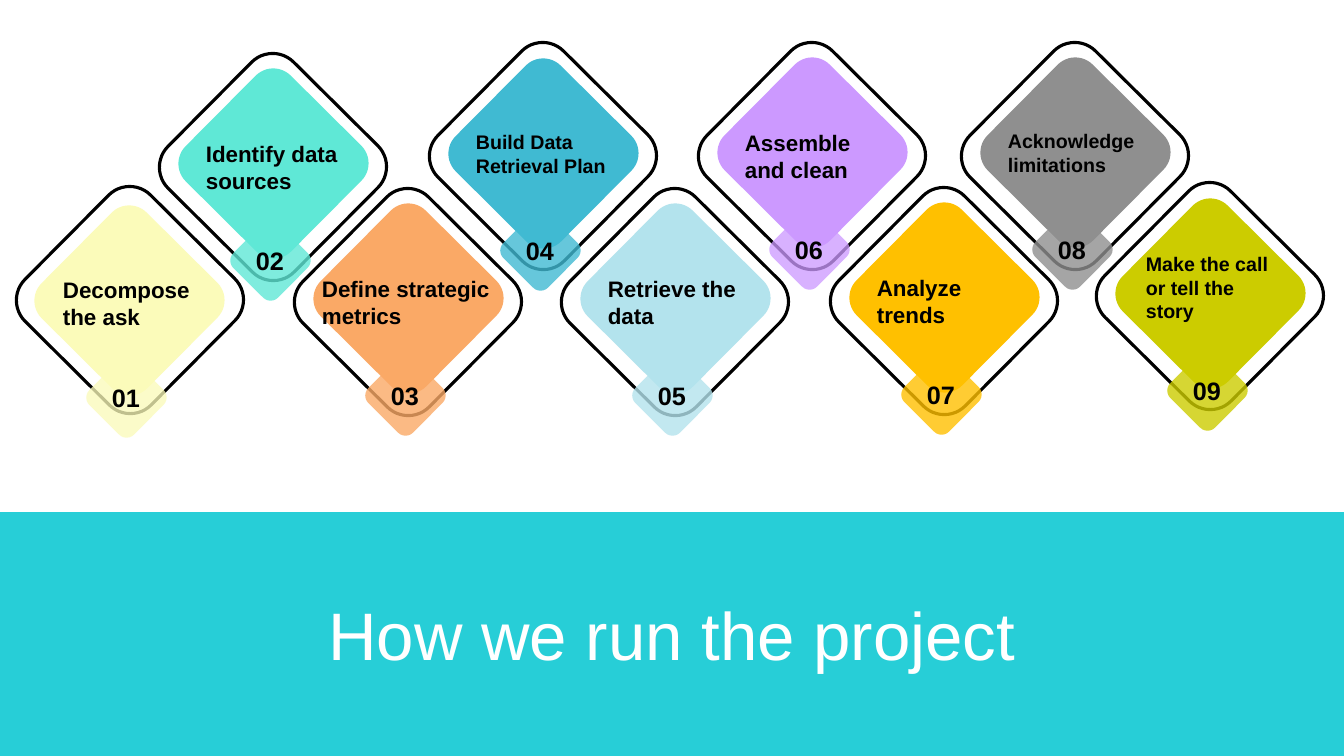
import pptx
import pptx.dml.color
import pptx.enum.shapes
import pptx.enum.text
import pptx.oxml
import pptx.oxml.ns
import pptx.util
from dataclasses import dataclass

PIXELS_PER_INCH = 100.8
ALIGN = pptx.enum.text.PP_ALIGN
ANCHOR = pptx.enum.text.MSO_ANCHOR
AUTO_SIZE = pptx.enum.text.MSO_AUTO_SIZE


def px(length):
    return pptx.util.Emu(round(length * 914400 / PIXELS_PER_INCH))


def colour(value):
    return pptx.dml.color.RGBColor.from_string(value)


@dataclass
class Step:
    label: str
    left: int
    top: int
    fill: str
    size: int = 16
    opacity: int = 80
    ring_shift: tuple = (-15, -11)
    label_shift: tuple = (-3, 46)
    label_width: int = 155
    label_height: int = 65


class SlideBuilder:
    font = "Arial"
    ink = "000000"
    paper = "FFFFFF"
    accent = "27CED7"
    rotation = 314.8

    def __init__(self, slide):
        self.slide = slide

    def add_span(self, frame, text, size, text_colour, bold, align):
        para = frame.paragraphs[0]
        para.alignment = align
        span = para.add_run()
        span.text = text
        span.font.name = self.font
        span.font.size = pptx.util.Pt(size)
        span.font.bold = bold
        span.font.color.rgb = colour(text_colour)

    def title_band(self, text, left, top, width, height):
        title = self.slide.shapes.title
        title.left, title.top = px(left), px(top)
        title.width, title.height = px(width), px(height)
        title.fill.solid()
        title.fill.fore_color.rgb = colour(self.accent)
        frame = title.text_frame
        frame.word_wrap = True
        frame.auto_size = AUTO_SIZE.NONE
        frame.vertical_anchor = ANCHOR.MIDDLE
        self.add_span(frame, text, 48, self.paper, False, ALIGN.CENTER)

    def diamond(self, left, top, side):
        kind = pptx.enum.shapes.MSO_SHAPE.ROUNDED_RECTANGLE
        shape = self.slide.shapes.add_shape(
            kind, px(left), px(top), px(side), px(side))
        shape.rotation = self.rotation
        shape.shadow.inherit = False
        return shape

    def ring(self, left, top, side):
        shape = self.diamond(left, top, side)
        shape.fill.background()
        shape.line.color.rgb = colour(self.ink)
        shape.line.width = pptx.util.Pt(2.25)

    def tile(self, left, top, side, fill, opacity=100):
        shape = self.diamond(left, top, side)
        shape.line.fill.background()
        shape.fill.solid()
        shape.fill.fore_color.rgb = colour(fill)
        if opacity < 100:
            tint = shape.element.find(".//" + pptx.oxml.ns.qn("a:srgbClr"))
            alpha = pptx.oxml.parse_xml(
                f'<a:alpha {pptx.oxml.ns.nsdecls("a")} val="{opacity * 1000}"/>')
            tint.append(alpha)

    def text(self, text, left, top, width, height, size, align=ALIGN.LEFT):
        box = self.slide.shapes.add_textbox(
            px(left), px(top), px(width), px(height))
        frame = box.text_frame
        frame.word_wrap = True
        frame.auto_size = AUTO_SIZE.SHAPE_TO_FIT_TEXT
        self.add_span(frame, text, size, self.ink, True, align)

    def step(self, number, step):
        left, top = step.left, step.top
        ring_x, ring_y = step.ring_shift
        label_x, label_y = step.label_shift
        self.ring(left + ring_x, top + ring_y, 178)
        self.tile(left, top, 149, step.fill)
        self.text(step.label, left + label_x, top + label_y,
                  step.label_width, step.label_height, step.size)
        self.tile(left + 40, top + 140, 63, step.fill, step.opacity)
        self.text(f"{number:02}", left + 40, top + 151, 62, 40, 18, ALIGN.CENTER)


STEPS = [
    Step("Decompose the ask", 55, 226, "FBFBBA", opacity=77,
         ring_shift=(-14, -15), label_shift=(-2, 45), label_width=149),
    Step("Identify data sources", 199, 89, "5FE8D6"),
    Step("Define strategic metrics", 334, 224, "FAA966",
         label_shift=(-22, 46), label_width=188),
    Step("Build Data Retrieval Plan", 469, 79, "40BAD2", 14,
         ring_shift=(-15, -12), label_height=57),
    Step("Retrieve the data", 601, 224, "B3E3ED"),
    Step("Assemble and clean", 738, 78, "CC99FF", opacity=76),
    Step("Analyze trends", 870, 223, "FFC000"),
    Step("Acknowledge limitations", 1001, 78, "8F8F8F", 14, label_height=57),
    Step("Make the call or tell the story", 1136, 219, "CCCC00", 14,
         ring_shift=(-15, -12), label_shift=(0, 28), label_height=82),
]


def main():
    deck = pptx.Presentation()
    deck.slide_width, deck.slide_height = px(1344), px(756)
    page = deck.slides.add_slide(deck.slide_layouts[5])
    builder = SlideBuilder(page)
    builder.title_band("How we run the project", 0, 512, 1344, 244)
    for number, step in enumerate(STEPS, start=1):
        builder.step(number, step)
    deck.save("out.pptx")


if __name__ == "__main__":
    main()
